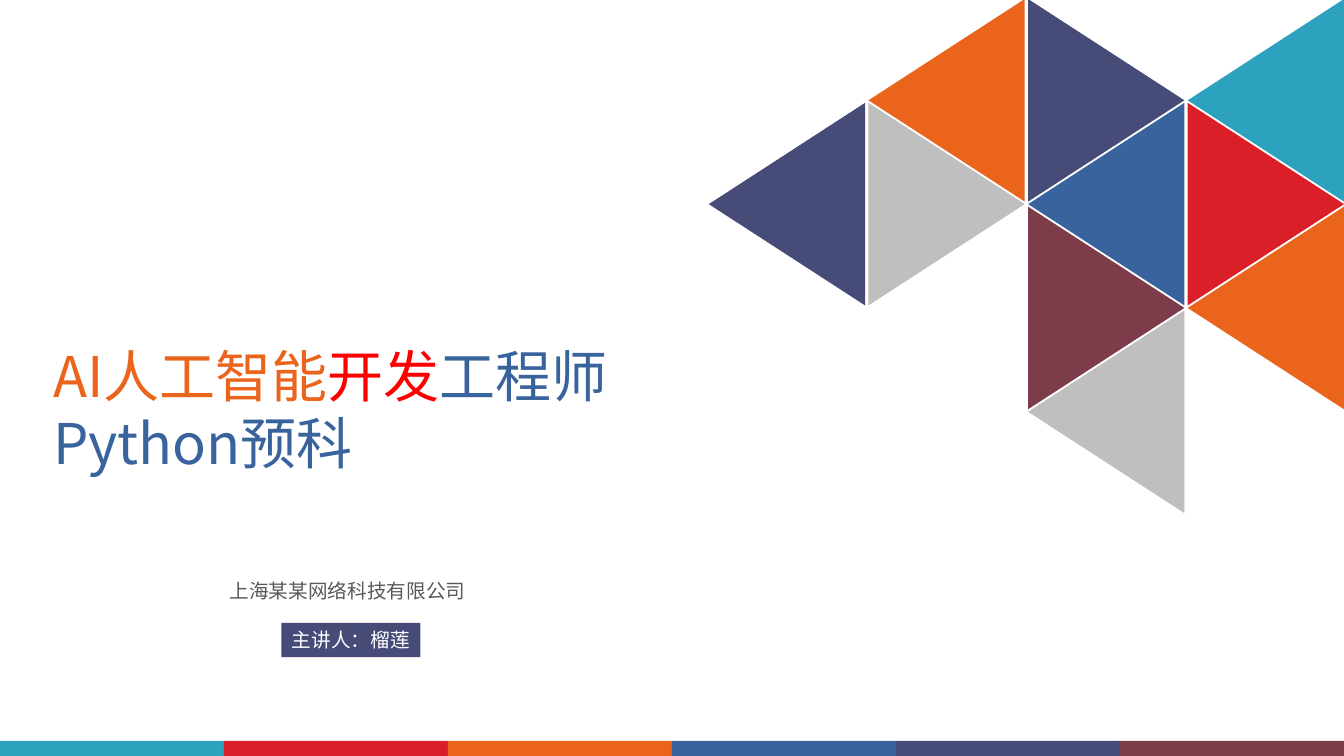
from dataclasses import dataclass

from lxml.etree import SubElement
from pptx import Presentation
from pptx.dml.color import RGBColor as RGB
from pptx.enum.shapes import MSO_SHAPE as SHAPE
from pptx.enum.text import MSO_AUTO_SIZE as FIT, PP_ALIGN as ALIGN
from pptx.oxml.ns import qn
from pptx.shapes.autoshape import Shape
from pptx.slide import Slide
from pptx.util import Inches, Pt

FONT = "Noto Sans CJK SC"
HUES = {
    "teal": "2DA2BF", "red": "DA1F28", "orange": "EB641B", "blue": "39639D",
    "indigo": "474B78", "wine": "7D3C4A", "silver": "BFBFBF",
    "bright": "FF0000", "gray": "595959", "white": "FFFFFF",
}
WIDE, HIGH = 13.33, 7.5
BAR = 0.15
BASE, RISE = 2.01, 1.55
LEFT, TOP = 6.8, 0.22
STEP_X, STEP_Y = 4.75 / 3, 1.03


@dataclass
class Tile:
    """One triangle of the mosaic, by column and row."""
    col: int
    row: int
    hue: str


@dataclass
class Run:
    text: str
    hue: str


TILES = [
    Tile(3, 0, "teal"), Tile(3, 1, "red"), Tile(3, 2, "orange"),
    Tile(2, 0, "indigo"), Tile(2, 1, "blue"), Tile(2, 2, "wine"),
    Tile(1, 0, "orange"), Tile(2, 3, "silver"), Tile(1, 1, "silver"),
    Tile(0, 1, "indigo"),
]
BARS = ["teal", "red", "orange", "blue", "indigo", "wine"]
TITLE = [
    [Run("AI人工智能", "orange"), Run("开发", "bright"), Run("工程师", "blue")],
    [Run("Python预科", "blue")],
]


def add_form(slide: Slide, kind: SHAPE, x: float, y: float, w: float,
             h: float, hue: str) -> Shape:
    form = slide.shapes.add_shape(kind, Inches(x), Inches(y), Inches(w), Inches(h))
    form.shadow.inherit = False
    form.fill.solid()
    form.fill.fore_color.rgb = RGB.from_string(HUES[hue])
    form.line.fill.background()
    return form


def add_box(slide: Slide, x: float, y: float, w: float, h: float) -> Shape:
    return slide.shapes.add_textbox(Inches(x), Inches(y), Inches(w), Inches(h))


def write(form: Shape, lines: list[list[Run]], *, size: float,
          align: ALIGN = ALIGN.LEFT, wrap: bool = True) -> None:
    frame = form.text_frame
    frame.word_wrap = wrap
    frame.auto_size = FIT.SHAPE_TO_FIT_TEXT
    for i, line in enumerate(lines):
        para = frame.add_paragraph() if i else frame.paragraphs[0]
        para.alignment = align
        for part in line:
            run = para.add_run()
            run.text = part.text
            run.font.size = Pt(size)
            run.font.name = FONT
            run.font.color.rgb = RGB.from_string(HUES[part.hue])
            SubElement(run.font._element, qn("a:ea")).set("typeface", FONT)


def add_tile(slide: Slide, tile: Tile) -> None:
    """Draw a triangle; neighbours point in opposite directions."""
    form = add_form(slide, SHAPE.ISOSCELES_TRIANGLE, LEFT + tile.col * STEP_X,
                    TOP + tile.row * STEP_Y, BASE, RISE, tile.hue)
    form.rotation = 270 if (tile.col + tile.row) % 2 else 90


def main() -> None:
    deck = Presentation()
    deck.slide_width, deck.slide_height = Inches(WIDE), Inches(HIGH)
    slide = deck.slides.add_slide(deck.slide_layouts[6])

    write(add_box(slide, 0.43, 3.34, 6.6, 1.45), TITLE, size=40)
    write(add_box(slide, 2.18, 5.69, 2.59, 0.34),
          [[Run("上海某某网络科技有限公司", "gray")]], size=14)
    host = add_form(slide, SHAPE.RECTANGLE, 2.79, 6.18, 1.38, 0.34, "indigo")
    write(host, [[Run("主讲人：榴莲", "white")]], size=14,
          align=ALIGN.CENTER, wrap=False)

    width = WIDE / len(BARS)
    for i, hue in enumerate(BARS):
        add_form(slide, SHAPE.RECTANGLE, i * width, HIGH - BAR, width, BAR, hue)
    for tile in TILES:
        add_tile(slide, tile)

    deck.save("out.pptx")


if __name__ == "__main__":
    main()
